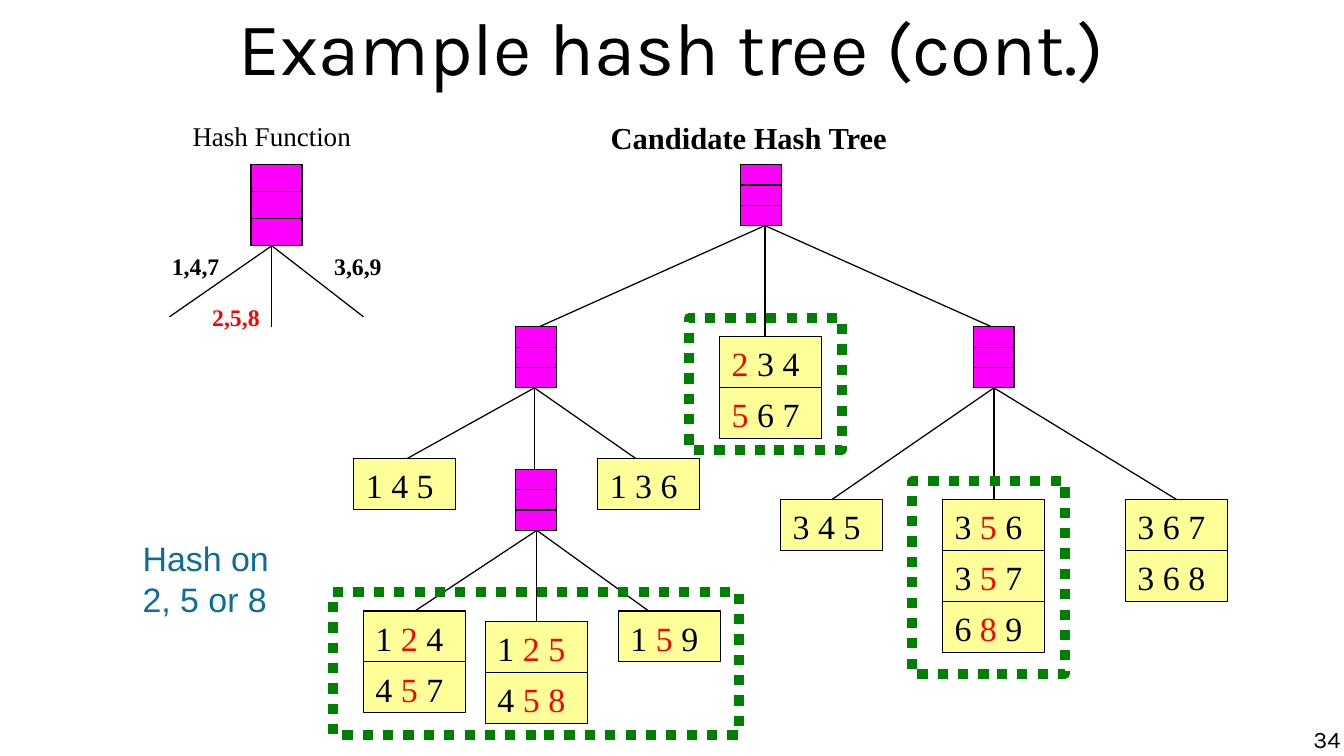
from dataclasses import dataclass

from lxml.etree import SubElement
from pptx import Presentation
from pptx.dml.color import RGBColor
from pptx.enum.dml import MSO_LINE
from pptx.enum.shapes import MSO_CONNECTOR, MSO_SHAPE
from pptx.enum.text import MSO_ANCHOR as Anchor, PP_ALIGN as Align
from pptx.oxml.ns import qn
from pptx.util import Cm, Pt

COLORS = {"black": "000000", "red": "FF0000", "node": "FF00FF",
          "leaf": "FFFF99", "frame": "008000", "note": "0C6D9C"}
SERIF = "Times New Roman"
THIN = 0.74
LEAF_WIDTH, LEAF_HEIGHT = 2.12, 1.06
INSET_X, INSET_Y = 0.25, 0.13


@dataclass
class Node:
    left: float
    top: float
    joint: float  # x where the branches meet below the node
    ends: list[tuple[float, float]]
    width: float = 0.85
    height: float = 1.27


@dataclass
class Leaf:
    left: float
    top: float
    itemsets: list[str]  # items between bars are red


@dataclass
class Label:
    text: str
    left: float
    top: float
    width: float
    height: float
    size: int
    font: str = SERIF
    color: str = "black"
    bold: bool = False
    align: Align = Align.LEFT
    anchor: Anchor = Anchor.TOP
    inset: bool = True
    wrap: bool = False


NODES = [
    Node(15.42, 3.43, 15.93, [(11.18, 6.83), (15.93, 7.01), (20.7, 6.83)]),
    Node(10.74, 6.81, 11.13, [(8.43, 9.58), (11.13, 9.78), (13.28, 9.58)]),
    Node(20.27, 6.81, 20.7, [(17.32, 10.41), (20.7, 10.41), (24.51, 10.41)]),
    Node(10.74, 9.78, 11.18, [(8.64, 12.73), (11.18, 12.95), (13.51, 12.73)]),
    # Hash function
    Node(5.23, 3.43, 5.66, [(3.53, 6.6), (5.66, 6.81), (7.57, 6.6)], 1.06, 1.69),
]
LEAVES = [
    Leaf(7.37, 9.55, ["1 4 5"]),
    Leaf(12.45, 9.55, ["1 3 6"]),
    Leaf(14.99, 7.01, ["|2| 3 4", "|5| 6 7"]),
    Leaf(16.26, 10.41, ["3 4 5"]),
    Leaf(19.63, 10.41, ["3 |5| 6", "3 |5| 7", "6 |8| 9"]),
    Leaf(23.44, 10.41, ["3 6 7", "3 6 8"]),
    Leaf(7.57, 12.73, ["1 |2| 4", "4 |5| 7"]),
    Leaf(10.11, 12.95, ["1 |2 5|", "4 |5 8|"]),
    Leaf(12.88, 12.73, ["1 |5| 9"]),
]
FRAMES = [(6.93, 12.34, 8.46, 2.97), (14.35, 6.63, 3.18, 2.74), (19, 10.03, 3.18, 4.01)]
LABELS = [
    Label("Example hash tree (cont.)", 1.4, -0.1, 25.2, 2.11, 44, "Karla",
          align=Align.CENTER, anchor=Anchor.MIDDLE, inset=False, wrap=True),
    Label("Hash Function", 3.76, 2.36, 3.81, 0.94, 16),
    Label("Candidate Hash Tree", 12.47, 2.36, 6.25, 1.02, 18, bold=True),
    Label("1,4,7", 3.33, 5.11, 1.5, 0.84, 14, bold=True),
    Label("2,5,8", 4.17, 6.17, 1.5, 0.84, 14, color="red", bold=True),
    Label("3,6,9", 6.71, 5.11, 1.5, 0.84, 14, bold=True),
    Label("Hash on 2, 5 or 8", 2.72, 11.07, 3.18, 1.96, 20, "Arial", "note", wrap=True),
    Label("34", 21.39, 15.11, 6.53, 0.64, 14, "Karla",
          align=Align.RIGHT, inset=False, wrap=True),
]


def rgb(name: str) -> RGBColor:
    return RGBColor.from_string(COLORS[name])


def add_line(x1: float, y1: float, x2: float, y2: float) -> None:
    line = slide.shapes.add_connector(MSO_CONNECTOR.STRAIGHT, Cm(x1), Cm(y1), Cm(x2), Cm(y2))
    line.line.color.rgb = rgb("black")
    line.line.width = Pt(THIN)
    SubElement(line._element.spPr, qn("a:effectLst"))


def add_box(left: float, top: float, width: float, height: float,
            fill: str | None, line: str = "black", weight: float = THIN):
    shape = slide.shapes.add_shape(MSO_SHAPE.RECTANGLE, Cm(left), Cm(top), Cm(width), Cm(height))
    shape.shadow.inherit = False
    if fill:
        shape.fill.solid()
        shape.fill.fore_color.rgb = rgb(fill)
    else:
        shape.fill.background()
    shape.line.color.rgb = rgb(line)
    shape.line.width = Pt(weight)
    return shape


def set_insets(frame, x: float, y: float) -> None:
    frame.margin_left = frame.margin_right = Cm(x)
    frame.margin_top = frame.margin_bottom = Cm(y)


def draw_branches(node: Node) -> None:
    for x, y in node.ends:
        add_line(node.joint, node.top + node.height, x, y)


def draw_node(node: Node) -> None:
    add_box(node.left, node.top, node.width, node.height, "node")
    for third in (1, 2):
        y = node.top + node.height * third / 3
        add_line(node.left, y, node.left + node.width, y)


def draw_leaf(leaf: Leaf) -> None:
    for row, itemset in enumerate(leaf.itemsets):
        shape = add_box(leaf.left, leaf.top + row * LEAF_HEIGHT, LEAF_WIDTH, LEAF_HEIGHT, "leaf")
        frame = shape.text_frame
        frame.vertical_anchor = Anchor.TOP
        set_insets(frame, INSET_X, INSET_Y)
        paragraph = frame.paragraphs[0]
        paragraph.alignment = Align.LEFT
        paragraph.font.size = Pt(20)
        paragraph.font.name = SERIF
        for index, part in enumerate(itemset.split("|")):
            if part:
                run = paragraph.add_run()
                run.text = part
                run.font.color.rgb = rgb("red" if index % 2 else "black")


def draw_label(label: Label) -> None:
    shape = slide.shapes.add_textbox(Cm(label.left), Cm(label.top),
                                     Cm(label.width), Cm(label.height))
    frame = shape.text_frame
    frame.word_wrap = label.wrap
    frame.vertical_anchor = label.anchor
    set_insets(frame, *((INSET_X, INSET_Y) if label.inset else (0, 0)))
    paragraph = frame.paragraphs[0]
    paragraph.text = label.text
    paragraph.alignment = label.align
    paragraph.font.size = Pt(label.size)
    paragraph.font.name = label.font
    paragraph.font.bold = label.bold
    paragraph.font.color.rgb = rgb(label.color)


presentation = Presentation()
presentation.slide_width, presentation.slide_height = Cm(27.99), Cm(15.75)
slide = presentation.slides.add_slide(presentation.slide_layouts[6])

# Tree, with the branches behind
for node in NODES:
    draw_branches(node)
for node in NODES:
    draw_node(node)
for leaf in LEAVES:
    draw_leaf(leaf)

# Dotted frames around the visited leaves
for bounds in FRAMES:
    add_box(*bounds, None, "frame", 6).line.dash_style = MSO_LINE.ROUND_DOT

# Title, captions and slide number
for label in LABELS:
    draw_label(label)

presentation.save("out.pptx")
